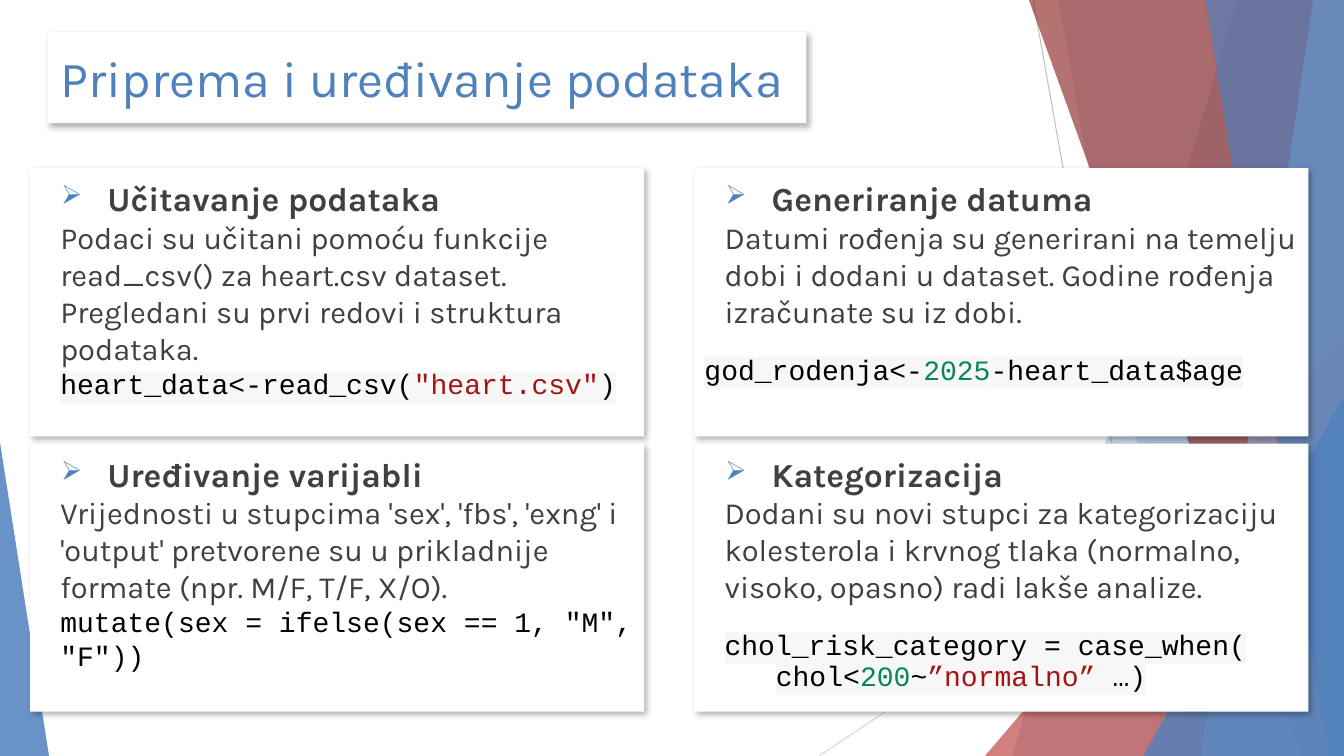
from lxml.etree import SubElement
from pptx import Presentation
from pptx.dml.color import RGBColor
from pptx.enum.shapes import MSO_CONNECTOR, MSO_SHAPE
from pptx.enum.text import MSO_ANCHOR as ANCHOR, MSO_AUTO_SIZE as AUTO, PP_ALIGN as ALIGN
from pptx.oxml.ns import qn
from pptx.util import Pt

W, H = 960, 540
COLORS = {
    "white": "FFFFFF", "black": "000000", "text": "404040", "blue": "4F81BD",
    "pale_blue": "95B3D7", "red": "C0504D", "dark_red": "953735",
    "line": "BFBFBF", "pale_line": "D9D9D9",
    "code_back": "F7F7F7", "string": "A31515", "number": "098658",
}
CARD_X, CARD_Y, CARD_W, CARD_H = 21.6, 120.2, 438.5, 191.5
STEP_X, STEP_Y = 474.5, 196.7
INDENT = 14.4
BLANK_LINE = 26

# Each code line: left indent, runs of (text, colour)
CARDS = [
    dict(heading="Učitavanje podataka",
         body="Podaci su učitani pomoću funkcije read_csv() za heart.csv dataset. "
              "Pregledani su prvi redovi i struktura podataka.",
         code=[(INDENT, [("heart_data<-read_csv(", "black"), ('"heart.csv"', "string"),
                         (")", "black")])]),
    dict(heading="Generiranje datuma",
         body="Datumi rođenja su generirani na temelju dobi i dodani u dataset. "
              "Godine rođenja izračunate su iz dobi.",
         code=[(0, [("god_rodenja<-", "black"), ("2025", "number"),
                    ("-heart_data$age", "black")])],
         spaced=True),
    dict(heading="Uređivanje varijabli",
         body="Vrijednosti u stupcima 'sex', 'fbs', 'exng' i 'output' pretvorene su "
              "u prikladnije formate (npr. M/F, T/F, X/O).",
         code=[(INDENT, [('mutate(sex = ifelse(sex == 1, "M", "F"))', "black")])],
         highlight=None),
    dict(heading="Kategorizacija",
         body="Dodani su novi stupci za kategorizaciju kolesterola i krvnog tlaka "
              "(normalno, visoko, opasno) radi lakše analize.",
         code=[(INDENT, [("chol_risk_category = case_when(", "black")]),
               (51, [("chol<", "black"), ("200", "number"), ("~", "black"),
                     ("”normalno”", "string"), (" …)", "black")])],
         spaced=True),
]


def rgb(name):
    return RGBColor.from_string(COLORS[name])


def add_text(p, text, size=22, color="text", font="Karla", bold=False, highlight=None):
    r = p.add_run()
    r.text = text
    f = r.font
    f.size, f.bold = Pt(size), bold
    f.color.rgb = rgb(color)
    f.name = font
    if highlight:
        rPr = r._r.get_or_add_rPr()
        mark = SubElement(rPr, qn("a:highlight"))
        SubElement(mark, qn("a:srgbClr"), val=COLORS[highlight])
        rPr.find(qn("a:solidFill")).addnext(mark)


def set_indent(p, left, first=0):
    pPr = p._p.get_or_add_pPr()
    pPr.set("marL", str(Pt(left)))
    pPr.set("indent", str(Pt(first)))
    return pPr


def add_bullet(p):
    pPr = set_indent(p, 48, -33)
    color = SubElement(pPr, qn("a:buClr"))
    SubElement(color, qn("a:srgbClr"), val=COLORS["blue"])
    SubElement(pPr, qn("a:buSzPct"), val="80000")
    SubElement(pPr, qn("a:buChar"), char="➢")


def make_panel(sp, inset):
    """White, softly shadowed box with wrapped text."""
    sp.fill.solid()
    sp.fill.fore_color.rgb = rgb("white")
    effects = SubElement(sp._element.spPr, qn("a:effectLst"))
    shadow = SubElement(effects, qn("a:outerShdw"), blurRad=str(Pt(4.5)),
                        dist=str(Pt(2.6)), dir=str(53 * 60000), rotWithShape="0")
    color = SubElement(shadow, qn("a:srgbClr"), val=COLORS["black"])
    SubElement(color, qn("a:alpha"), val="30000")
    tf = sp.text_frame
    tf.word_wrap, tf.auto_size = True, AUTO.NONE
    tf.margin_left = tf.margin_right = tf.margin_top = tf.margin_bottom = Pt(inset)
    return tf


def fill_decor(sp, color, alpha):
    sp.shadow.inherit = False
    sp.line.fill.background()
    sp.fill.solid()
    sp.fill.fore_color.rgb = rgb(color)
    clr = sp._element.spPr.find(qn("a:solidFill"))[0]
    SubElement(clr, qn("a:alpha"), val=str(alpha * 1000))


def add_band(shapes, top_x, bottom_x, color, alpha):
    """Full-height band from a slanted edge to the right side of the slide."""
    builder = shapes.build_freeform(top_x, 0, scale=Pt(1))
    builder.add_line_segments([(W, 0), (W, H), (bottom_x, H)], close=True)
    fill_decor(builder.convert_to_shape(), color, alpha)


def add_corner(shapes, x, width, height, apex, color, alpha):
    """Right triangle standing on the bottom edge; apex is 0 left, 1 right."""
    sp = shapes.add_shape(MSO_SHAPE.ISOSCELES_TRIANGLE,
                          Pt(x), Pt(H - height), Pt(width), Pt(height))
    sp.adjustments[0] = apex
    fill_decor(sp, color, alpha)


def add_hairline(shapes, x1, y1, x2, y2, color):
    line = shapes.add_connector(MSO_CONNECTOR.STRAIGHT, Pt(x1), Pt(y1), Pt(x2), Pt(y2))
    line.line.color.rgb = rgb(color)
    line.line.width = Pt(0.75)
    SubElement(line._element.spPr, qn("a:effectLst"))


def add_background(shapes):
    add_hairline(shapes, 738, 0, 834, H, "line")
    add_hairline(shapes, W, 290, 585, H, "pale_line")
    add_band(shapes, 884, 723, "blue", 30)
    add_band(shapes, 756, 852, "blue", 20)
    add_corner(shapes, 703.5, W - 703.5, 300, 1, "red", 72)
    add_band(shapes, 735, 929.5, "dark_red", 70)
    add_band(shapes, 938, 858, "pale_blue", 70)
    add_band(shapes, 861, 949, "blue", 65)
    add_corner(shapes, 816.5, W - 816.5, 257, 1, "blue", 80)
    add_corner(shapes, 0, 35, 224, 0, "blue", 85)


def add_title(slide, x, y, w, h):
    sp = slide.shapes.title
    sp.left, sp.top, sp.width, sp.height = Pt(x), Pt(y), Pt(w), Pt(h)
    tf = make_panel(sp, 9.4)
    tf.vertical_anchor = ANCHOR.MIDDLE
    p = tf.paragraphs[0]
    p.alignment = ALIGN.LEFT
    add_text(p, "Priprema i uređivanje podataka", size=36, color="blue")


def add_card(shapes, x, y, w, h, heading, body, code, spaced=False, highlight="code_back"):
    tf = make_panel(shapes.add_textbox(Pt(x), Pt(y), Pt(w), Pt(h)), 7.2)
    p = tf.paragraphs[0]
    add_bullet(p)
    add_text(p, heading, size=24, bold=True)
    p = tf.add_paragraph()
    set_indent(p, INDENT)
    add_text(p, body)
    for i, (left, runs) in enumerate(code):
        p = tf.add_paragraph()
        set_indent(p, left)
        if spaced:
            p.line_spacing, p.space_after = Pt(14.25), Pt(8)
            p.space_before = Pt(0 if i else BLANK_LINE)
        for text, color in runs:
            add_text(p, text, size=20, color=color, font="Courier New", highlight=highlight)


def main():
    prs = Presentation()
    prs.slide_width, prs.slide_height = Pt(W), Pt(H)
    slide = prs.slides.add_slide(prs.slide_layouts[5])
    add_background(slide.shapes)
    for i, card in enumerate(CARDS):
        row, col = divmod(i, 2)
        add_card(slide.shapes, CARD_X + col * STEP_X, CARD_Y + row * STEP_Y,
                 CARD_W, CARD_H, **card)
    add_title(slide, 34, 23, 542, 65)
    prs.save("out.pptx")


if __name__ == "__main__":
    main()
